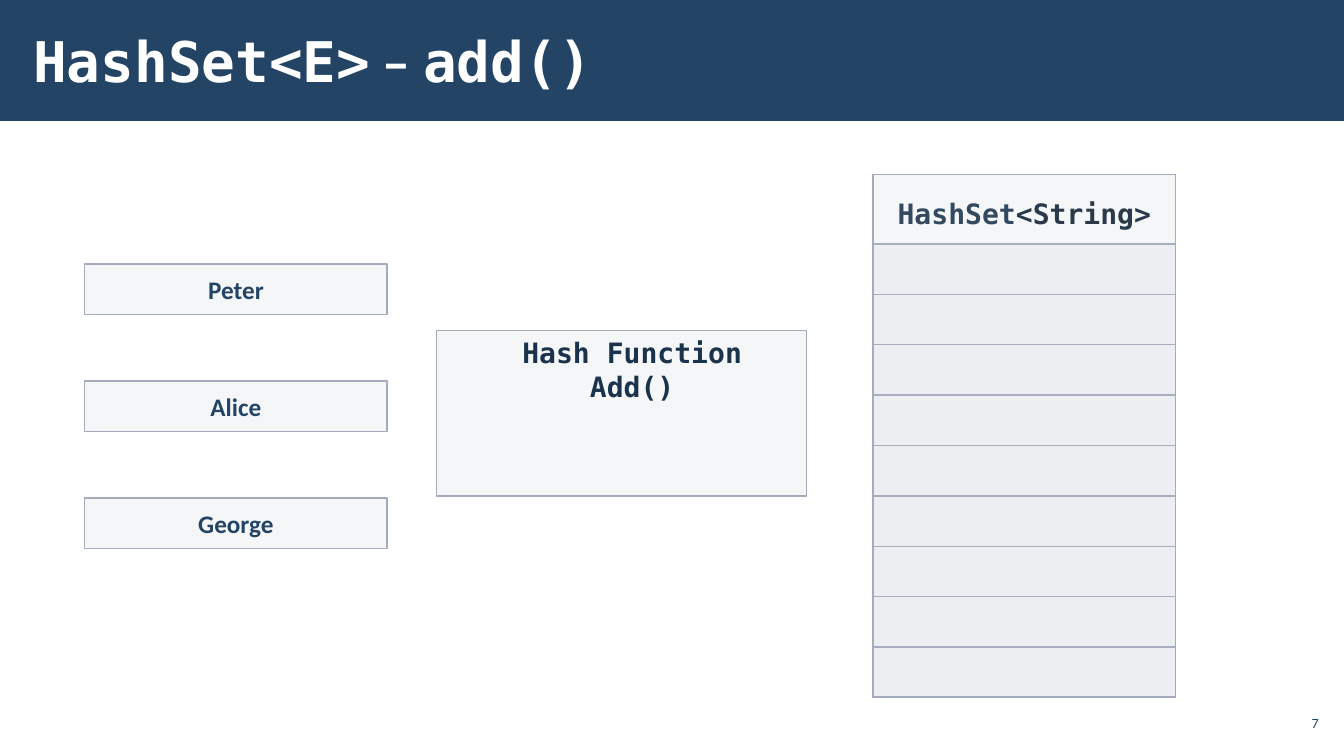
from pptx import Presentation
from pptx.util import Inches, Pt
from pptx.dml.color import RGBColor
from pptx.enum.shapes import MSO_SHAPE
from pptx.enum.text import MSO_ANCHOR, MSO_AUTO_SIZE, PP_ALIGN
from lxml import etree

NAVY, DARK, INK, WHITE = "234465", "1A334C", "112233", "FFFFFF"
PALE, EDGE = "C2C7D2", "A3ABBC"
MONO, SANS = "DejaVu Sans Mono", "Calibri"
LEFT, MID, RIGHT = PP_ALIGN.LEFT, PP_ALIGN.CENTER, PP_ALIGN.RIGHT
DRAW = "http://schemas.openxmlformats.org/drawingml/2006/main"


def paint(target, color):
    target.rgb = RGBColor.from_string(color)


def place(shape, box):
    for name, size in zip(("left", "top", "width", "height"), box):
        setattr(shape, name, Inches(size))


def write(shape, lines, align, pads=(0.1, 0.05), anchor=MSO_ANCHOR.MIDDLE):
    frame = shape.text_frame
    side, end = map(Inches, pads)
    looks = {"margin_left": side, "margin_right": side, "margin_top": end,
             "margin_bottom": end, "word_wrap": True,
             "auto_size": MSO_AUTO_SIZE.NONE, "vertical_anchor": anchor}
    for name, value in looks.items():
        setattr(frame, name, value)
    for place_no, line in enumerate(lines):
        para = frame.add_paragraph() if place_no else frame.paragraphs[0]
        para.alignment = align
        for text, face, size, color, bold in line:
            run = para.add_run()
            run.text = text
            for name, value in {"name": face, "size": Pt(size), "bold": bold}.items():
                setattr(run.font, name, value)
            paint(run.font.color, color)


def add_box(slide, box):
    shape = slide.shapes.add_shape(MSO_SHAPE.RECTANGLE, *map(Inches, box))
    shape.shadow.inherit = False
    shape.fill.solid()
    return shape


def add_pane(slide, box):
    pane = add_box(slide, box)
    paint(pane.fill.fore_color, PALE)
    tint = pane.element.find(f".//{{{DRAW}}}solidFill")[0]
    etree.SubElement(tint, f"{{{DRAW}}}alpha", val="15000")
    paint(pane.line.color, EDGE)
    pane.line.width = Pt(1)
    return pane


def add_label(slide, box, lines, align, **looks):
    label = slide.shapes.add_textbox(*map(Inches, box))
    write(label, lines, align, **looks)


def add_title(slide):
    title = slide.shapes.title
    place(title, (0.21, 0.11, 10.39, 0.97))
    parts = (("HashSet<E>", MONO), (" – ", SANS), ("add()", MONO))
    write(title, [[(text, face, 40, WHITE, True) for text, face in parts]],
          LEFT, pads=(0.12, 0.04))
    band = add_box(slide, (0, 0, 13.33, 1.2))
    paint(band.fill.fore_color, NAVY)
    band.line.fill.background()
    title.element.addprevious(band.element)


def add_names(slide):
    for row, name in enumerate(("Peter", "Alice", "George")):
        pane = add_pane(slide, (0.84, 2.62 + 1.16 * row, 3, 0.5))
        write(pane, [[(name, SANS, 18, NAVY, True)]], MID, pads=(0.2, 0.1))


def add_hash(slide):
    add_pane(slide, (4.33, 3.28, 3.67, 1.64))
    lines = [[(text, MONO, 20, DARK, True)] for text in ("Hash Function", "Add()")]
    add_label(slide, (4.77, 3.28, 3, 1.11), lines, MID, anchor=MSO_ANCHOR.TOP)


def add_set(slide):
    head = [("HashSet", MONO, 20, DARK, True), ("<String>", MONO, 20, INK, True)]
    add_label(slide, (8.66, 1.9, 3, 0.77), [head], MID, anchor=MSO_ANCHOR.TOP)
    for row in range(9):
        add_pane(slide, (8.66, 2.42 + 0.5 * row, 3, 0.5))
    add_pane(slide, (8.66, 1.73, 3, 5.18))


def main():
    deck = Presentation()
    deck.slide_width, deck.slide_height = Inches(13.33), Inches(7.5)
    slide = deck.slides.add_slide(deck.slide_layouts[5])
    add_title(slide)
    add_label(slide, (12.65, 7, 0.47, 0.34), [[("7", SANS, 10, NAVY, False)]],
              RIGHT, pads=(0.04, 0.04))
    add_names(slide)
    add_hash(slide)
    add_set(slide)
    deck.save("out.pptx")


if __name__ == "__main__":
    main()
